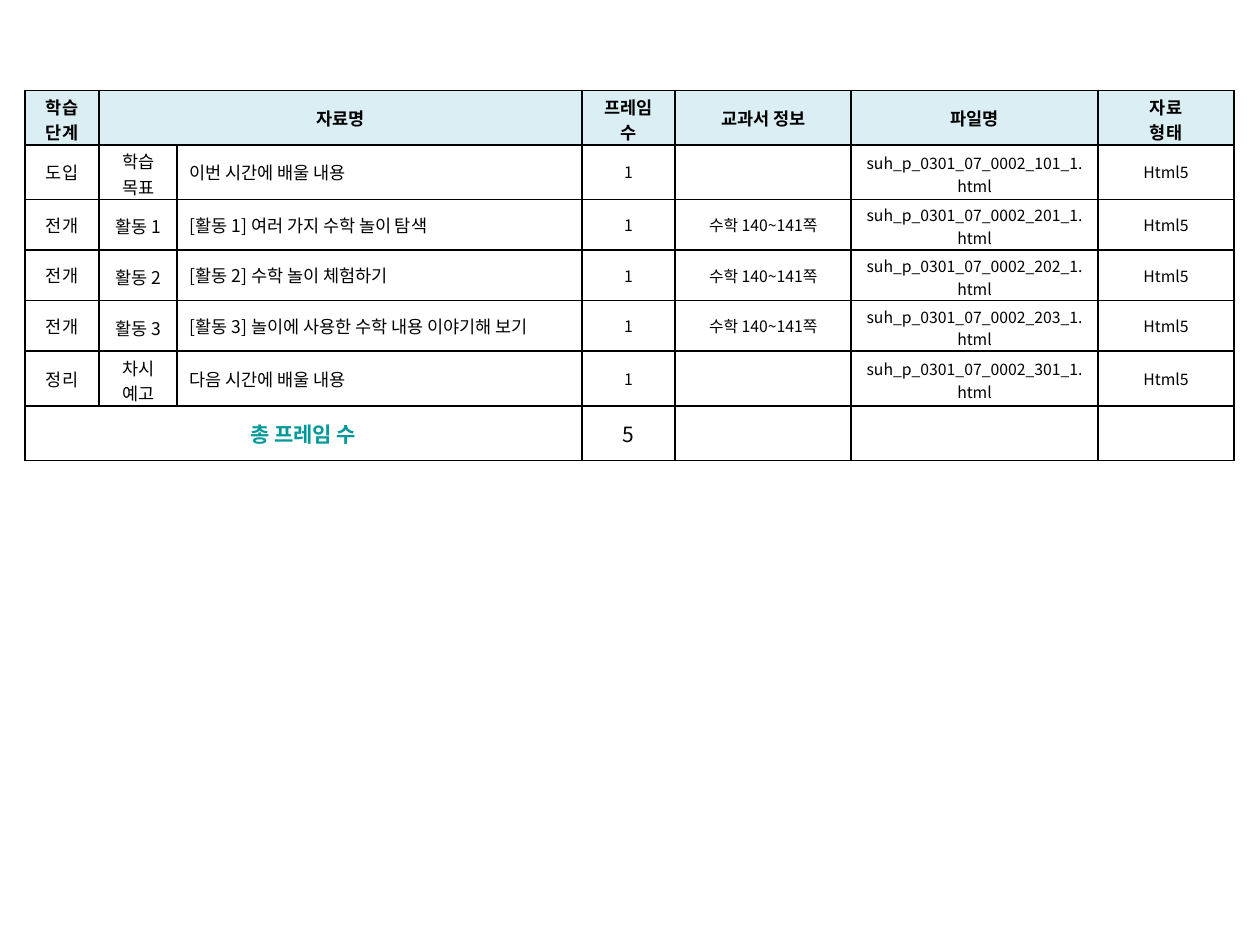
from lxml import etree
from pptx import Presentation
from pptx.dml.color import RGBColor
from pptx.enum.text import MSO_ANCHOR, PP_ALIGN
from pptx.oxml.ns import qn
from pptx.util import Cm, Pt

CENTER, LEFT = PP_ALIGN.CENTER, PP_ALIGN.LEFT
MIDDLE = MSO_ANCHOR.MIDDLE
FONT = "Noto Sans CJK KR"
BLACK, TEAL, HEADER_BLUE = "000000", "009999", "DBEEF4"

COLUMN_WIDTHS = [1.5, 1.57, 8.16, 1.88, 3.55, 4.97, 2.75]
ROW_HEIGHTS = [1.1, 1.1, 1.02, 1.02, 1.02, 1.1, 1.1]
# Narrow margins keep two-line cells within their row height
TIGHT_MARGINS = {"margin_top": Cm(0.07), "margin_bottom": Cm(0)}
FRAME_COUNT_MARGINS = {"margin_left": Cm(0.3), "margin_right": Cm(0.3)}

HEADERS = ["학습 단계", "자료명", "", "프레임 수", "교과서 정보", "파일명", "자료\n형태"]
TWO_LINE_HEADERS = (0, 3, 6)
TEXTBOOK_PAGES = "수학 140~141쪽"
# Stage, part, material name, textbook pages, file number
LESSONS = [
    ("도입", "학습 목표", "이번 시간에 배울 내용", "", 101),
    ("전개", "활동 1", "[활동 1] 여러 가지 수학 놀이 탐색", TEXTBOOK_PAGES, 201),
    ("전개", "활동 2", "[활동 2] 수학 놀이 체험하기", TEXTBOOK_PAGES, 202),
    ("전개", "활동 3", "[활동 3] 놀이에 사용한 수학 내용 이야기해 보기", TEXTBOOK_PAGES, 203),
    ("정리", "차시 예고", "다음 시간에 배울 내용", "", 301),
]
TWO_LINE_COLUMNS = (1, 5)
TOTALS = ["총 프레임 수", "", "", str(len(LESSONS)), "", "", ""]


def color(hex_string):
    return RGBColor.from_string(hex_string)


def set_attributes(target, values):
    for name, value in values.items():
        setattr(target, name, value)


def add_borders(cell):
    properties = cell._tc.get_or_add_tcPr()
    for position, side in enumerate(("lnL", "lnR", "lnT", "lnB")):
        line = etree.Element(qn(f"a:{side}"), w=str(Pt(1)))
        fill = etree.SubElement(line, qn("a:solidFill"))
        etree.SubElement(fill, qn("a:srgbClr"), val=BLACK)
        properties.insert(position, line)


def format_run(run, font_color, font_values):
    set_attributes(run.font, font_values)
    run.font.color.rgb = color(font_color)
    etree.SubElement(run._r.get_or_add_rPr(), qn("a:ea"), typeface=FONT)


def fill_cell(cell, text, size=10, bold=False, font_color=BLACK, align=CENTER,
              fill=None, two_lines=False):
    cell.vertical_anchor = MIDDLE
    if two_lines:
        set_attributes(cell, TIGHT_MARGINS)
    if fill:
        cell.fill.solid()
        cell.fill.fore_color.rgb = color(fill)
    else:
        cell.fill.background()
    add_borders(cell)
    frame = cell.text_frame
    for index, line in enumerate(text.split("\n")):
        paragraph = frame.add_paragraph() if index else frame.paragraphs[0]
        paragraph.alignment = align
        run = paragraph.add_run()
        run.text = line
        format_run(run, font_color, {"name": FONT, "size": Pt(size), "bold": bold})


def add_grid(slide):
    shape = slide.shapes.add_table(
        len(ROW_HEIGHTS), len(COLUMN_WIDTHS), Cm(0.5), Cm(1.82),
        Cm(sum(COLUMN_WIDTHS)), Cm(sum(ROW_HEIGHTS)))
    table = shape.table
    table.first_row = table.horz_banding = False
    for column, width in zip(table.columns, COLUMN_WIDTHS):
        column.width = Cm(width)
    for row, height in zip(table.rows, ROW_HEIGHTS):
        row.height = Cm(height)
    return table


def fill_header(table):
    for column, text in enumerate(HEADERS):
        fill_cell(table.cell(0, column), text, bold=True, fill=HEADER_BLUE,
                  two_lines=column in TWO_LINE_HEADERS)
    set_attributes(table.cell(0, 3), FRAME_COUNT_MARGINS)
    table.cell(0, 1).merge(table.cell(0, 2))


def fill_lessons(table):
    for row, (stage, part, material, pages, number) in enumerate(LESSONS, 1):
        file_name = f"suh_p_0301_07_0002_{number}_1.html"
        texts = [stage, part, material, "1", pages, file_name, "Html5"]
        for column, text in enumerate(texts):
            fill_cell(table.cell(row, column), text, size=10 if column < 3 else 9,
                      align=LEFT if column == 2 else CENTER,
                      two_lines=column in TWO_LINE_COLUMNS)


def fill_totals(table):
    last_row = len(ROW_HEIGHTS) - 1
    for column, text in enumerate(TOTALS):
        is_label = column == 0
        fill_cell(table.cell(last_row, column), text, size=12, bold=is_label,
                  font_color=TEAL if is_label else BLACK)
    table.cell(last_row, 0).merge(table.cell(last_row, 2))


def main():
    presentation = Presentation()
    presentation.slide_width, presentation.slide_height = Cm(25.4), Cm(19.05)
    slide = presentation.slides.add_slide(presentation.slide_layouts[6])

    # Lesson material table
    table = add_grid(slide)
    fill_header(table)
    fill_lessons(table)
    fill_totals(table)

    presentation.save("out.pptx")


if __name__ == "__main__":
    main()
